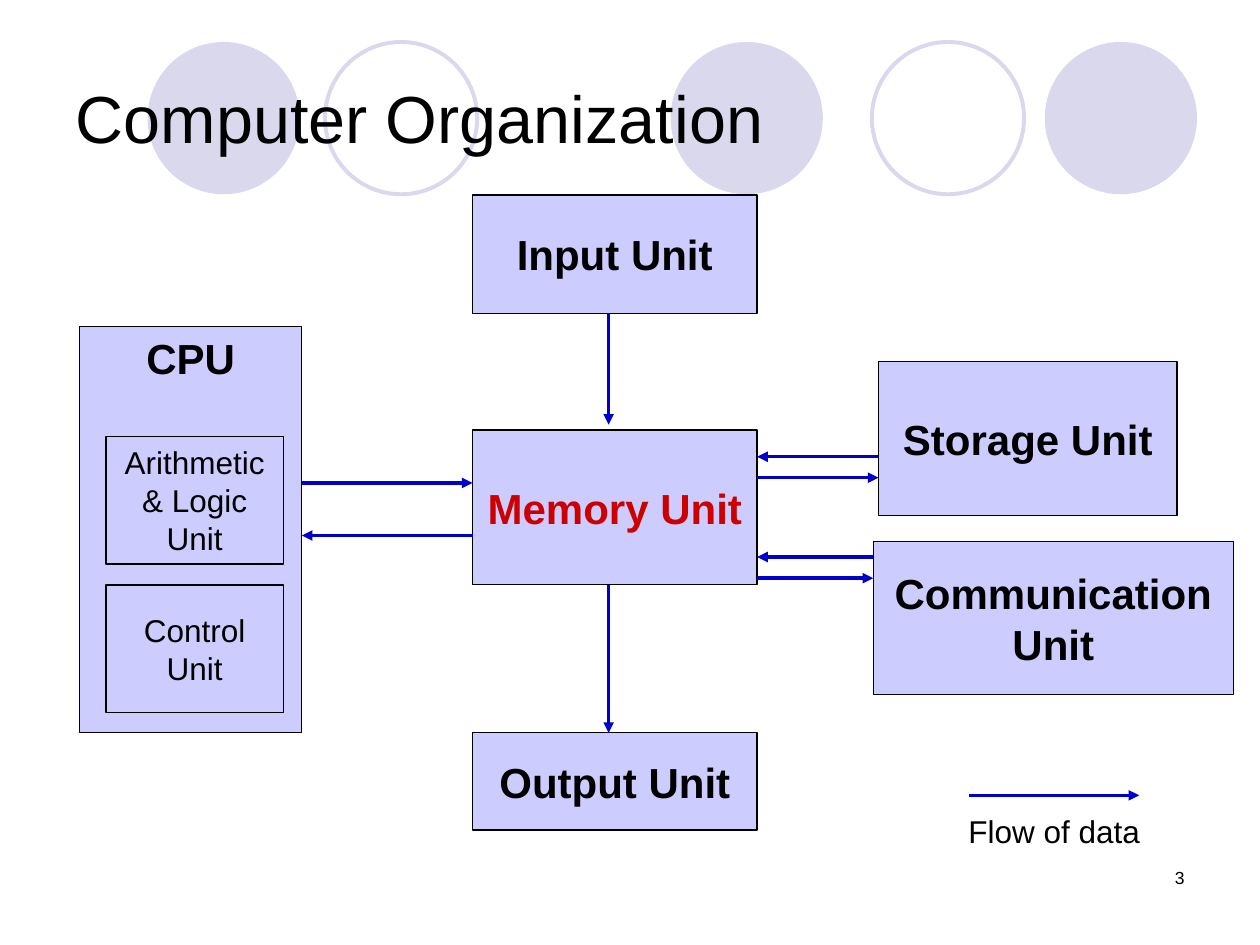
from lxml.etree import SubElement
from pptx import Presentation
from pptx.dml.color import RGBColor
from pptx.enum.shapes import MSO_CONNECTOR, MSO_SHAPE
from pptx.enum.text import MSO_ANCHOR, MSO_AUTO_SIZE, PP_ALIGN
from pptx.oxml.ns import qn
from pptx.util import Pt

BLACK = RGBColor(0x00, 0x00, 0x00)
RED = RGBColor(0xCC, 0x00, 0x00)
BLUE = RGBColor(0x00, 0x00, 0xCC)
BOX_FILL = RGBColor(0xCC, 0xCC, 0xFF)
CIRCLE = RGBColor(0xD9, 0xD8, 0xEC)

# Content: all lengths in points
TITLE = "Computer Organization"
CIRCLE_TOP, CIRCLE_SIZE = 24, 87
CIRCLES = [(84.3, True), (185.7, False), (383.2, True), (498.2, False), (597, True)]

MEMORY_LEFT, MEMORY_RIGHT = 270, 432.7
CPU_RIGHT, STORAGE_LEFT, COMM_LEFT = 172.5, 502, 499
AXIS = 347.8
UNIT_W = MEMORY_RIGHT - MEMORY_LEFT

HEADING = dict(size=24, bold=True)
PART = dict(size=18)
BOXES = [  # text, (left, top, width, height), text format
    ("CPU", (45.5, 186.5, CPU_RIGHT - 45.5, 232.2),
     dict(HEADING, anchor=MSO_ANCHOR.TOP, wrap=False)),
    ("Input Unit", (MEMORY_LEFT, 111.5, UNIT_W, 67.5), HEADING),
    ("Output Unit", (MEMORY_LEFT, 418.8, UNIT_W, 55.5), HEADING),
    ("Memory Unit", (MEMORY_LEFT, 245.7, UNIT_W, 88.5), dict(HEADING, color=RED)),
    ("Storage Unit", (STORAGE_LEFT, 206.5, 170.7, 88), HEADING),
    ("Communication Unit", (COMM_LEFT, 309.4, 205.8, 87.6), HEADING),
    ("Arithmetic\n& Logic\nUnit", (60.5, 249.3, 101.5, 73), dict(PART, wrap=False)),
    ("Control\nUnit", (60.5, 334.3, 101.5, 73), PART),
]

ARROWS = [  # x1, y1, x2, y2 with the head at the second point
    (CPU_RIGHT, 276, MEMORY_LEFT, 276),
    (MEMORY_LEFT, 306, CPU_RIGHT, 306),
    (AXIS, 179, AXIS, 242.7),
    (AXIS, 334.2, AXIS, 418.8),
    (STORAGE_LEFT, 261, MEMORY_RIGHT, 261),
    (MEMORY_RIGHT, 273, STORAGE_LEFT, 273),
    (COMM_LEFT, 318.3, MEMORY_RIGHT, 318.3),
    (MEMORY_RIGHT, 330.4, COMM_LEFT, 330.4),
    (553.5, 454.5, 651, 454.5),
]

LABELS = [
    ("Flow of data", (546.3, 460.2, 112.5, 29), dict(size=18, wrap=False)),
    ("3", (516, 492, 168, 36), dict(size=10, align=PP_ALIGN.RIGHT)),
]


def write(sp, text, size, bold=False, color=BLACK, align=PP_ALIGN.LEFT,
          anchor=MSO_ANCHOR.TOP, wrap=True):
    tf = sp.text_frame
    tf.auto_size = MSO_AUTO_SIZE.NONE
    tf.word_wrap = wrap
    tf.vertical_anchor = anchor
    tf.text = text
    for p in tf.paragraphs:
        p.alignment = align
        for r in p.runs:
            r.font.name = "Arial"
            r.font.size = Pt(size)
            r.font.bold = bold
            r.font.color.rgb = color


def add_shape(s, kind, box, fill, line, width):
    sp = s.shapes.add_shape(kind, *map(Pt, box))
    sp.shadow.inherit = False
    if fill is None:
        sp.fill.background()
    else:
        sp.fill.solid()
        sp.fill.fore_color.rgb = fill
    if line is None:
        sp.line.fill.background()
    else:
        sp.line.color.rgb = line
        sp.line.width = Pt(width)
    return sp


def add_arrow(s, ends):
    c = s.shapes.add_connector(MSO_CONNECTOR.STRAIGHT, *map(Pt, ends))
    c.line.color.rgb = BLUE
    c.line.width = Pt(2)
    ln = c.element.spPr.find(qn("a:ln"))
    SubElement(ln, qn("a:tailEnd"), type="triangle")
    SubElement(c.element.spPr, qn("a:effectLst"))


def main():
    prs = Presentation()
    prs.slide_width, prs.slide_height = Pt(720), Pt(540)
    s = prs.slides.add_slide(prs.slide_layouts[5])

    # Row of circles behind the title
    for left, filled in CIRCLES:
        add_shape(s, MSO_SHAPE.OVAL, (left, CIRCLE_TOP, CIRCLE_SIZE, CIRCLE_SIZE),
                  CIRCLE if filled else None, None if filled else CIRCLE, 2.25)

    # Title, brought in front of the circles
    title = s.shapes.title
    title.left, title.top, title.width, title.height = map(Pt, (36, 21.6, 648, 90))
    write(title, TITLE, size=38, anchor=MSO_ANCHOR.MIDDLE)
    title.element.getparent().append(title.element)

    # Units of the computer
    for text, box, fmt in BOXES:
        sp = add_shape(s, MSO_SHAPE.RECTANGLE, box, BOX_FILL, BLACK, 0.75)
        write(sp, text, **{"align": PP_ALIGN.CENTER, "anchor": MSO_ANCHOR.MIDDLE, **fmt})

    # Data flow
    for ends in ARROWS:
        add_arrow(s, ends)

    # Legend and slide number
    for text, box, fmt in LABELS:
        write(s.shapes.add_textbox(*map(Pt, box)), text, **fmt)

    prs.save("out.pptx")


if __name__ == "__main__":
    main()
